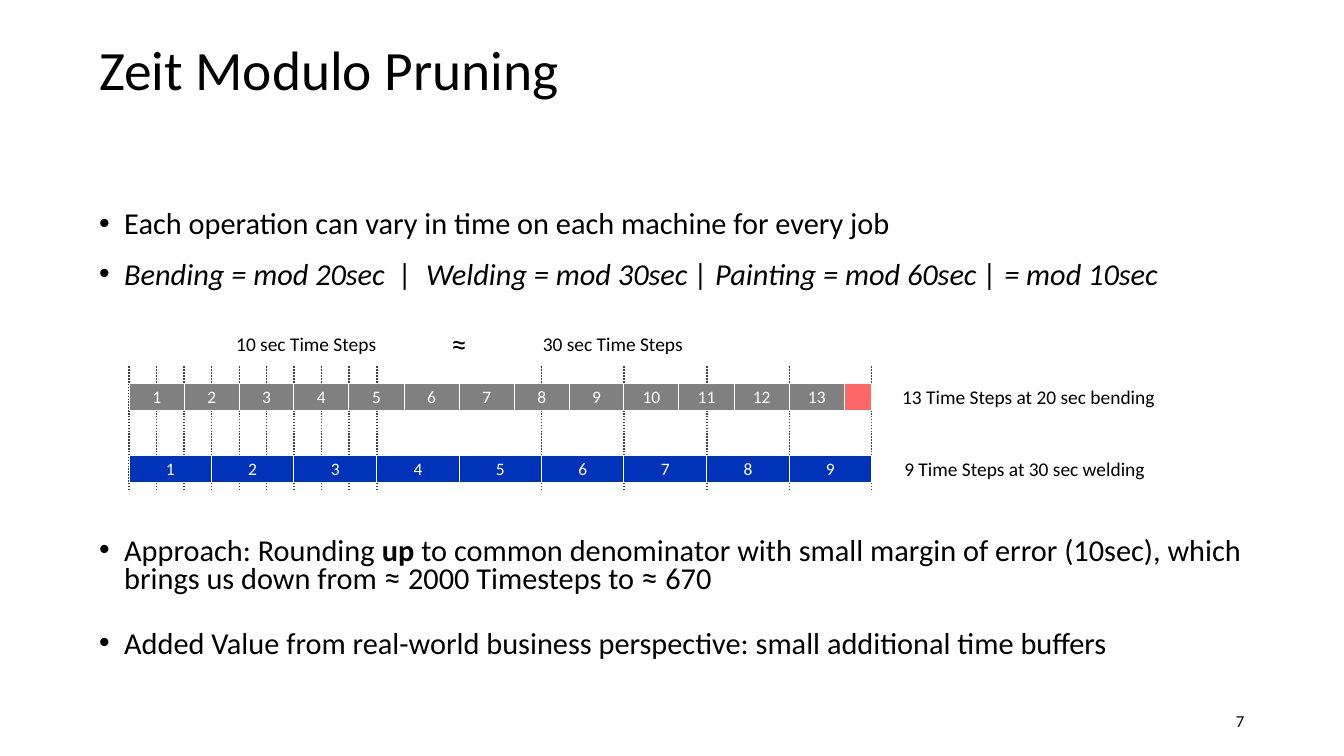
from lxml.etree import SubElement
from pptx import Presentation
from pptx.dml.color import RGBColor
from pptx.enum.dml import MSO_LINE
from pptx.enum.shapes import MSO_CONNECTOR, MSO_SHAPE
from pptx.enum.text import MSO_ANCHOR as Anchor, MSO_AUTO_SIZE as AutoSize, PP_ALIGN as Align
from pptx.oxml.ns import qn
from pptx.util import Pt

EMU_PER_PX = 9144  # 100 px to the inch
WIDTH, HEIGHT = 1926, 1083
BLACK, WHITE, GREY, BLUE, RED, DARK = "000000", "FFFFFF", "808080", "0033BA", "FF0000", "404040"

# Time axis: 27 steps of 10 seconds
AXIS_LEFT, AXIS_WIDTH, STEPS = 185, 1064, 27


def px(length):
    return round(length * EMU_PER_PX)


def color(hex_string):
    return RGBColor.from_string(hex_string)


def step_x(step):
    return round(AXIS_LEFT + step * AXIS_WIDTH / STEPS)


def set_all(target, values):
    for name, value in values.items():
        setattr(target, name, value)


class SlideBuilder:
    font_name = "Calibri"

    def __init__(self, slide):
        self.slide = slide

    def place(self, shape, left, top, width, height):
        set_all(shape, dict(left=px(left), top=px(top), width=px(width), height=px(height)))

    def add_runs(self, paragraph, runs, size, text_color=BLACK, **layout):
        """Each run is a text with a dict of font values."""
        set_all(paragraph, layout)
        for text, values in runs:
            run = paragraph.add_run()
            run.text = text
            run.font.color.rgb = color(text_color)
            set_all(run.font, dict(name=self.font_name, size=Pt(size)) | values)

    def title(self, text, box):
        shape = self.slide.shapes.title
        self.place(shape, *box)
        set_all(shape.text_frame, dict(vertical_anchor=Anchor.TOP, margin_top=px(3),
                                       auto_size=AutoSize.NONE, word_wrap=True))
        self.add_runs(shape.text_frame.paragraphs[0], [(text, {})], 57.2,
                      alignment=Align.LEFT, line_spacing=0.9)

    def bullets(self, items, box):
        """Each item is its runs, the space before in points and the line spacing."""
        shape = self.slide.placeholders[1]
        self.place(shape, *box)
        frame = shape.text_frame
        set_all(frame, dict(vertical_anchor=Anchor.TOP, auto_size=AutoSize.NONE, word_wrap=True))
        for index, (runs, before, spacing) in enumerate(items):
            paragraph = frame.add_paragraph() if index else frame.paragraphs[0]
            properties = paragraph._p.get_or_add_pPr()
            properties.set("marL", str(px(36)))
            properties.set("indent", str(px(-36)))
            SubElement(properties, qn("a:buFont"), typeface="Arial")
            SubElement(properties, qn("a:buChar"), char="•")
            self.add_runs(paragraph, runs, 31.3, space_before=Pt(before), line_spacing=spacing)

    def label(self, text, box, size=20, alignment=Align.LEFT, anchor=Anchor.TOP):
        shape = self.slide.shapes.add_textbox(*map(px, box))
        set_all(shape.text_frame, dict(word_wrap=True, vertical_anchor=anchor))
        self.add_runs(shape.text_frame.paragraphs[0], [(text, {})], size, alignment=alignment)

    def block(self, text, box, fill, opacity=None):
        shape = self.slide.shapes.add_shape(MSO_SHAPE.RECTANGLE, *map(px, box))
        shape.shadow.inherit = False
        shape.fill.solid()
        shape.fill.fore_color.rgb = color(fill)
        if opacity is not None:
            fill_color = shape._element.spPr.find(".//" + qn("a:srgbClr"))
            SubElement(fill_color, qn("a:alpha"), val=str(opacity * 1000))
        shape.line.color.rgb = color(WHITE)
        shape.line.width = Pt(1)
        if text:
            shape.text_frame.vertical_anchor = Anchor.MIDDLE
            self.add_runs(shape.text_frame.paragraphs[0], [(text, {})], 18, WHITE,
                          alignment=Align.CENTER)

    def dotted_line(self, x, top, bottom):
        line = self.slide.shapes.add_connector(
            MSO_CONNECTOR.STRAIGHT, px(x), px(top), px(x), px(bottom))
        line.line.color.rgb = color(DARK)
        set_all(line.line, dict(width=Pt(1.5), dash_style=MSO_LINE.ROUND_DOT))
        SubElement(line._element.spPr, qn("a:effectLst"))

    def time_row(self, count, span, top, fill):
        """Numbered blocks that are each span steps wide."""
        for index in range(count):
            left, right = step_x(index * span), step_x((index + 1) * span)
            self.block(str(index + 1), (left, top, right - left, 39), fill)


def main():
    presentation = Presentation()
    set_all(presentation, dict(slide_width=px(WIDTH), slide_height=px(HEIGHT)))
    builder = SlideBuilder(presentation.slides.add_slide(presentation.slide_layouts[1]))

    # Title and list, with room for the diagram before the third item
    builder.title("Zeit Modulo Pruning", (132, 58, 1661, 180))
    larger = {"size": Pt(34.1)}
    builder.bullets([
        ([("Each operation can vary in time on each machine for every job", {})], 0, 1.0),
        ([("Bending = mod 20sec  |  Welding = mod 30sec | Painting = mod 60sec | = mod 10sec",
           {"italic": True})], 14.4, 1.0),
        ([("Approach: Rounding ", {}), ("up ", {"bold": True}),
          ("to common denominator with small margin of error (10sec), which brings us down from ", {}),
          ("≈ ", larger), ("2000 Timesteps to ", {}), ("≈ ", larger), ("670", {})], 258, 0.7),
        ([("Added Value from real-world business perspective: small additional time buffers", {})],
         41, 0.7),
    ], (132, 288, 1661, 687))

    # Slide number
    builder.label("7", (1360, 1004, 433, 58), 17.3, Align.RIGHT, Anchor.MIDDLE)

    # Dotted marks: every 10 seconds, then every 30 seconds
    for step in [*range(10), *range(15, STEPS + 1, 3)]:
        builder.dotted_line(step_x(step), 525, 703)

    # Bending row with its rounding remainder
    builder.label("13 Time Steps at 20 sec bending", (1283, 547, 418, 44))
    builder.time_row(13, 2, 549, GREY)
    builder.block("", (step_x(26), 549, step_x(27) - step_x(26), 39), RED, opacity=60)

    # Welding row
    builder.label("9 Time Steps at 30 sec welding", (1286, 650, 418, 44))
    builder.time_row(9, 3, 652, BLUE)

    # Headings above the rows
    builder.label("10 sec Time Steps", (301, 471, 248, 44), alignment=Align.RIGHT)
    builder.label("30 sec Time Steps", (768, 471, 248, 44))
    builder.label("≈", (534, 460, 248, 64), 32, Align.CENTER)

    presentation.save("out.pptx")


if __name__ == "__main__":
    main()
